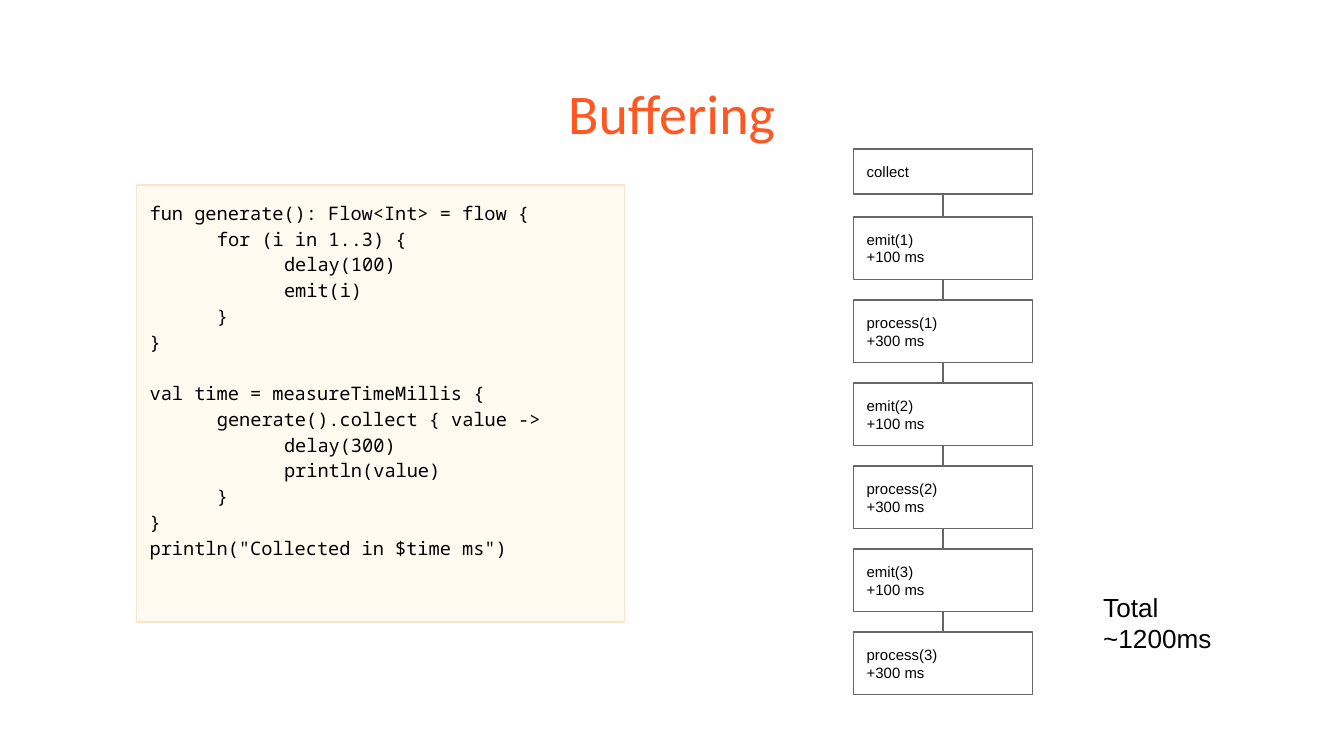
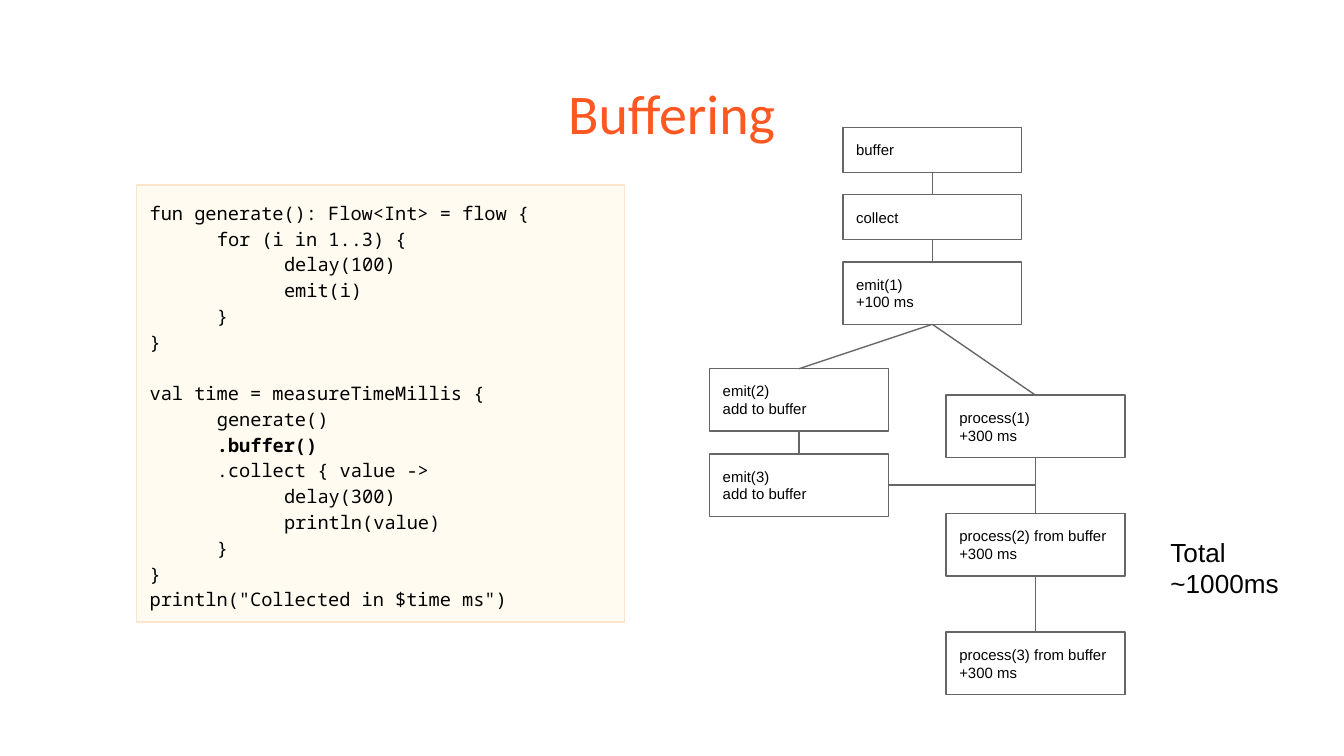
from dataclasses import dataclass
from typing import Sequence

from lxml.etree import SubElement
from pptx import Presentation
from pptx.dml.color import RGBColor
from pptx.enum.shapes import MSO_CONNECTOR, MSO_SHAPE
from pptx.enum.text import MSO_ANCHOR, MSO_AUTO_SIZE, PP_ALIGN
from pptx.oxml.ns import qn
from pptx.shapes.autoshape import Shape
from pptx.shapes.connector import Connector
from pptx.slide import Slide
from pptx.text.text import TextFrame
from pptx.util import Cm, Pt

COLORS = {
    "title": "FF5722",
    "text": "000000",
    "code_fill": "FFFBF0",
    "code_line": "FCE5CD",
    "diagram": "666666",
}
TITLE_FONT = "Calibri"
CODE_FONT = "Noto Sans Mono"
LABEL_FONT = "Arial"
INSET = Cm(0.25)
LINE_WIDTH = Pt(0.75)
CODE_INDENT = 1.27
CODE_GAP = Pt(13.8)
NODE_WIDTH = 3.38
SHORT_HEIGHT = 0.85
TALL_HEIGHT = 1.18
TOP_SITE, BOTTOM_SITE = 0, 2


@dataclass(frozen=True)
class CodeLine:
    level: int
    text: str
    bold: bool = False
    gap_before: bool = False


@dataclass(frozen=True)
class Node:
    label: str
    left: float
    top: float

    @property
    def height(self) -> float:
        return TALL_HEIGHT if "\n" in self.label else SHORT_HEIGHT


@dataclass(frozen=True)
class Total:
    label: str
    left: float
    top: float


GENERATE_CODE = (
    CodeLine(0, "fun generate(): Flow<Int> = flow {"),
    CodeLine(1, "for (i in 1..3) {"),
    CodeLine(2, "delay(100)"),
    CodeLine(2, "emit(i)"),
    CodeLine(1, "}"),
    CodeLine(0, "}"),
    CodeLine(0, "val time = measureTimeMillis {", gap_before=True),
)
DIRECT_COLLECT = (CodeLine(1, "generate().collect { value ->"),)
BUFFERED_COLLECT = (
    CodeLine(1, "generate()"),
    CodeLine(1, ".buffer()", bold=True),
    CodeLine(1, ".collect { value ->"),
)
COLLECT_BODY = (
    CodeLine(2, "delay(300)"),
    CodeLine(2, "println(value)"),
    CodeLine(1, "}"),
    CodeLine(0, "}"),
    CodeLine(0, 'println("Collected in $time ms")'),
)


def color(name: str) -> RGBColor:
    return RGBColor.from_string(COLORS[name])


def format_frame(frame: TextFrame, font: str, size: float, text_color: str = "text") -> None:
    frame.word_wrap = True
    frame.auto_size = MSO_AUTO_SIZE.NONE
    frame.margin_left = frame.margin_right = INSET
    frame.margin_top = frame.margin_bottom = INSET
    for para in frame.paragraphs:
        for span in para.runs:
            span.font.name = font
            span.font.size = Pt(size)
            span.font.color.rgb = color(text_color)


def add_title(page: Slide, text: str) -> None:
    title = page.shapes.title
    title.left, title.top, title.width, title.height = Cm(0.86), Cm(1.24), Cm(23.67), Cm(1.6)
    frame = title.text_frame
    frame.text = text
    frame.vertical_anchor = MSO_ANCHOR.TOP
    frame.paragraphs[0].alignment = PP_ALIGN.CENTER
    format_frame(frame, TITLE_FONT, 30, "title")


def add_rectangle(
    page: Slide, left: float, top: float, width: float, height: float, line: str
) -> Shape:
    box = page.shapes.add_shape(
        MSO_SHAPE.RECTANGLE, Cm(left), Cm(top), Cm(width), Cm(height)
    )
    box.shadow.inherit = False
    box.fill.background()
    box.line.color.rgb = color(line)
    box.line.width = LINE_WIDTH
    return box


def add_code(page: Slide, lines: Sequence[CodeLine]) -> None:
    box = add_rectangle(page, 2.58, 3.5, 9.22, 8.26, "code_line")
    box.fill.solid()
    box.fill.fore_color.rgb = color("code_fill")
    frame = box.text_frame
    frame.vertical_anchor = MSO_ANCHOR.TOP
    frame.text = "\n".join(line.text for line in lines)
    for para, line in zip(frame.paragraphs, lines):
        para.alignment = PP_ALIGN.LEFT
        para.line_spacing = 1.15
        para.runs[0].font.bold = line.bold
        if line.gap_before:
            para.space_before = CODE_GAP
        if line.level:
            para._p.get_or_add_pPr().set("marL", str(Cm(CODE_INDENT * line.level)))
    format_frame(frame, CODE_FONT, 10)


def add_node(page: Slide, node: Node) -> Shape:
    box = add_rectangle(page, node.left, node.top, NODE_WIDTH, node.height, "diagram")
    frame = box.text_frame
    frame.text = node.label
    frame.vertical_anchor = MSO_ANCHOR.MIDDLE
    for para in frame.paragraphs:
        para.alignment = PP_ALIGN.LEFT
    format_frame(frame, LABEL_FONT, 8)
    return box


def add_line(page: Slide, start: tuple[int, int], end: tuple[int, int]) -> Connector:
    line = page.shapes.add_connector(MSO_CONNECTOR.STRAIGHT, *start, *end)
    line.line.color.rgb = color("diagram")
    line.line.width = LINE_WIDTH
    SubElement(line._element.spPr, qn("a:effectLst"))
    return line


def link(page: Slide, upper: Shape, lower: Shape) -> None:
    line = add_line(
        page,
        (upper.left + upper.width // 2, upper.top + upper.height),
        (lower.left + lower.width // 2, lower.top),
    )
    line.begin_connect(upper, BOTTOM_SITE)
    line.end_connect(lower, TOP_SITE)


def add_chain(page: Slide, nodes: Sequence[Node]) -> list[Shape]:
    boxes = [add_node(page, node) for node in nodes]
    for upper, lower in zip(boxes, boxes[1:]):
        link(page, upper, lower)
    return boxes


def stack(labels: Sequence[str], left: float, top: float, pitch: float) -> list[Node]:
    return [Node(label, left, top + row * pitch) for row, label in enumerate(labels)]


def add_total(page: Slide, total: Total) -> None:
    box = page.shapes.add_textbox(Cm(total.left), Cm(total.top), Cm(3.76), Cm(2.18))
    box.text_frame.text = total.label
    format_frame(box.text_frame, LABEL_FONT, 14)


def add_page(deck: Presentation, collect: Sequence[CodeLine], total: Total) -> Slide:
    page = deck.slides.add_slide(deck.slide_layouts[5])
    add_title(page, "Buffering")
    add_code(page, (*GENERATE_CODE, *collect, *COLLECT_BODY))
    add_total(page, total)
    return page


def add_sequential_page(deck: Presentation) -> None:
    page = add_page(deck, DIRECT_COLLECT, Total("Total\n~1200ms", 20.6, 10.92))
    steps = [
        label
        for item in range(1, 4)
        for label in (f"emit({item})\n+100 ms", f"process({item})\n+300 ms")
    ]
    left = 16.13
    add_chain(page, [Node("collect", left, 2.82), *stack(steps, left, 4.1, 1.57)])


def add_buffered_page(deck: Presentation) -> None:
    page = add_page(deck, BUFFERED_COLLECT, Total("Total\n~1000ms", 21.87, 9.88))
    start = add_chain(
        page, stack(("buffer", "collect", "emit(1)\n+100 ms"), 15.93, 2.41, 1.27)
    )
    emitted = add_chain(
        page, stack(("emit(2)\nadd to buffer", "emit(3)\nadd to buffer"), 13.41, 6.97, 1.61)
    )
    processed = add_chain(
        page,
        stack(
            (
                "process(1)\n+300 ms",
                "process(2) from buffer\n+300 ms",
                "process(3) from buffer\n+300 ms",
            ),
            17.88,
            7.47,
            2.24,
        ),
    )
    for branch in (emitted, processed):
        link(page, start[-1], branch[0])
    last_emit = emitted[-1]
    middle = last_emit.top + last_emit.height // 2
    add_line(
        page,
        (last_emit.left + last_emit.width, middle),
        (processed[0].left + processed[0].width // 2, middle),
    )


def main() -> None:
    deck = Presentation()
    deck.slide_width, deck.slide_height = Cm(25.4), Cm(14.29)
    add_sequential_page(deck)
    add_buffered_page(deck)
    deck.save("out.pptx")


if __name__ == "__main__":
    main()
